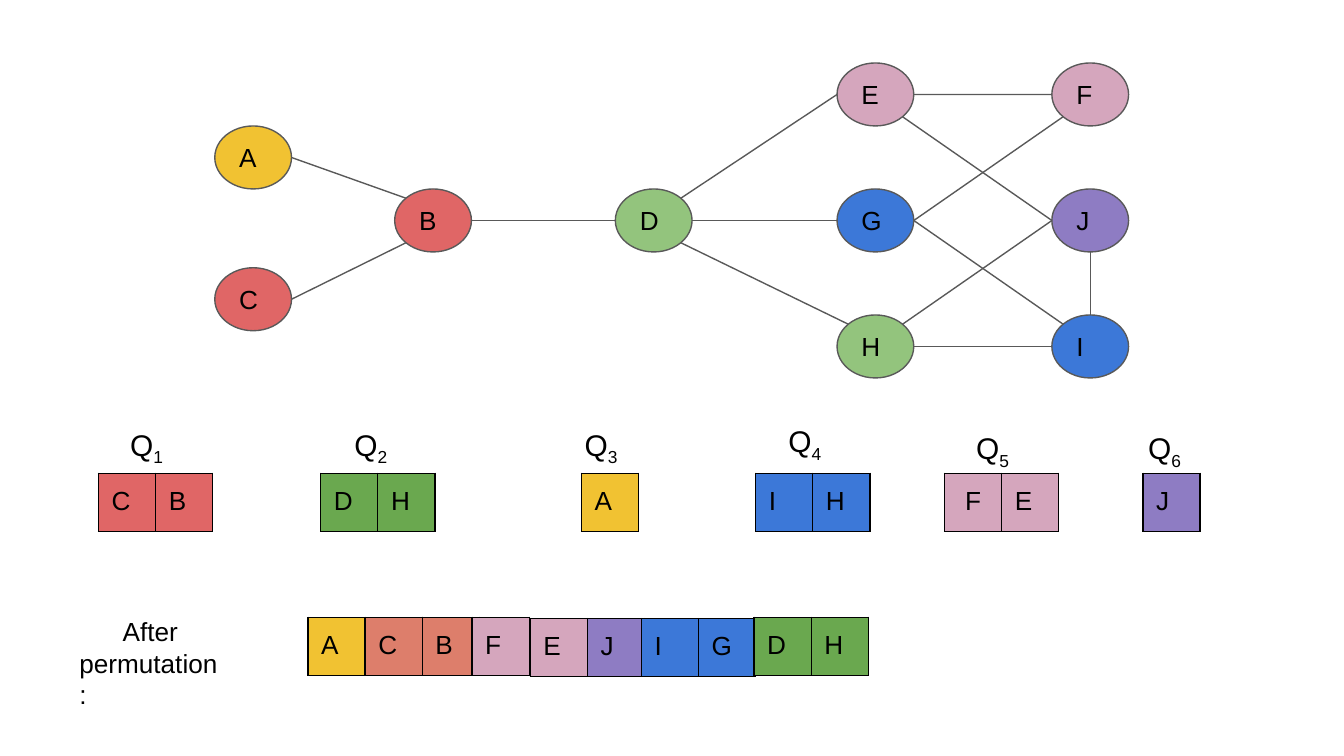
from math import cos, radians, sin

from lxml.etree import SubElement
from pptx import Presentation
from pptx.dml.color import RGBColor
from pptx.enum.shapes import MSO_CONNECTOR, MSO_SHAPE
from pptx.enum.text import MSO_ANCHOR, PP_ALIGN
from pptx.oxml import parse_xml
from pptx.oxml.ns import nsdecls, qn
from pptx.util import Cm, Pt

BLACK = RGBColor(0x00, 0x00, 0x00)
GRAY = RGBColor(0x59, 0x59, 0x59)
RED = RGBColor(0xE0, 0x66, 0x66)
CORAL = RGBColor(0xDD, 0x7E, 0x6B)
YELLOW = RGBColor(0xF1, 0xC2, 0x32)
LIGHT_GREEN = RGBColor(0x93, 0xC4, 0x7D)
GREEN = RGBColor(0x6A, 0xA8, 0x4F)
BLUE = RGBColor(0x3C, 0x78, 0xD8)
PURPLE = RGBColor(0x8E, 0x7C, 0xC3)
PINK = RGBColor(0xD5, 0xA6, 0xBD)

# Graph nodes: left edge in cm, top edge in node heights, colour
NODE_W, NODE_H = 1.45, 1.19
NODES = {
    "A": (4.06, 2, YELLOW),
    "C": (4.06, 4.25, RED),
    "B": (7.46, 3, RED),
    "D": (11.63, 3, LIGHT_GREEN),
    "E": (15.82, 1, PINK),
    "G": (15.82, 3, BLUE),
    "H": (15.82, 5, LIGHT_GREEN),
    "F": (19.88, 1, PINK),
    "J": (19.88, 3, PURPLE),
    "I": (19.88, 5, BLUE),
}

# Ellipse connection sites, counter-clockwise from the top
TOP, TOP_LEFT, LEFT, BOTTOM_LEFT, BOTTOM, BOTTOM_RIGHT, RIGHT, TOP_RIGHT = range(8)
EDGES = [
    ("A", RIGHT, "B", TOP_LEFT),
    ("C", RIGHT, "B", BOTTOM_LEFT),
    ("B", RIGHT, "D", LEFT),
    ("D", TOP_RIGHT, "E", LEFT),
    ("D", RIGHT, "G", LEFT),
    ("D", BOTTOM_RIGHT, "H", TOP_LEFT),
    ("E", RIGHT, "F", LEFT),
    ("H", RIGHT, "I", LEFT),
    ("G", RIGHT, "F", BOTTOM_LEFT),
    ("G", RIGHT, "I", TOP_LEFT),
    ("J", BOTTOM, "I", TOP),
    ("H", TOP_RIGHT, "J", LEFT),
    ("J", LEFT, "E", BOTTOM_RIGHT),
]

# Queues: label left and top, cells left, cells
CELL_W, CELL_H, INSET = 1.08, 1.07, 0.25
QUEUE_TOP = 8.94
QUEUES = [
    (2.21, 7.81, 1.86, [("C", RED), ("B", RED)]),
    (6.45, 7.81, 6.06, [("D", GREEN), ("H", GREEN)]),
    (10.8, 7.81, 10.99, [("A", YELLOW)]),
    (14.65, 7.74, 14.28, [("I", BLUE), ("H", BLUE)]),
    (18.2, 7.87, 17.85, [("F", PINK), ("E", PINK)]),
    (21.45, 7.87, 21.6, [("J", PURPLE)]),
]
INDENTED_QUEUE = 5

# Permuted order: left, top, cells
PERMUTED = [
    (5.82, 11.66, [("A", YELLOW), ("C", CORAL)]),
    (7.98, 11.66, [("B", CORAL)]),
    (8.92, 11.66, [("F", PINK)]),
    (10.02, 11.68, [("E", PINK), ("J", PURPLE)]),
    (12.12, 11.68, [("I", BLUE), ("G", BLUE)]),
    (14.25, 11.66, [("D", GREEN), ("H", GREEN)]),
]

prs = Presentation()
prs.slide_width, prs.slide_height = Cm(25.4), Cm(14.28)
shapes = prs.slides.add_slide(prs.slide_layouts[6]).shapes


def style(paragraph, size=14):
    paragraph.alignment = PP_ALIGN.LEFT
    paragraph.font.name = "Arial"
    paragraph.font.size = Pt(size)
    paragraph.font.color.rgb = BLACK


def set_insets(holder):
    holder.margin_left = holder.margin_right = Cm(INSET)
    holder.margin_top = holder.margin_bottom = Cm(INSET)


def add_text(left, top, width, height, size):
    frame = shapes.add_textbox(Cm(left), Cm(top), Cm(width), Cm(height)).text_frame
    frame.word_wrap = True
    set_insets(frame)
    style(frame.paragraphs[0], size)
    return frame.paragraphs[0]


def add_cells(left, top, cells):
    table = shapes.add_table(1, len(cells), Cm(left), Cm(top),
                             Cm(CELL_W * len(cells)), Cm(CELL_H)).table
    table.first_row = table.horz_banding = False
    for cell, (letter, colour) in zip(table.rows[0].cells, cells):
        cell.text = letter
        set_insets(cell)
        style(cell.text_frame.paragraphs[0])
        cell.fill.solid()
        cell.fill.fore_color.rgb = colour
        # Borders stand before the fill in the cell properties
        for position, side in enumerate("LRTB"):
            cell._tc.get_or_add_tcPr().insert(position, parse_xml(
                f'<a:ln{side} {nsdecls("a")} w="{Pt(0.75)}"><a:solidFill>'
                f'<a:srgbClr val="{BLACK}"/></a:solidFill></a:ln{side}>'))
    return table


def site_point(node, site):
    left, row, _ = NODES[node]
    angle = radians(45 * site)
    return (Cm(left + NODE_W / 2 * (1 - sin(angle))),
            Cm(row * NODE_H + NODE_H / 2 * (1 - cos(angle))))


# Graph nodes
ellipses = {}
for letter, (left, row, colour) in NODES.items():
    node = shapes.add_shape(MSO_SHAPE.OVAL, Cm(left), Cm(row * NODE_H),
                            Cm(NODE_W), Cm(NODE_H))
    node.shadow.inherit = False
    node.fill.solid()
    node.fill.fore_color.rgb = colour
    node.line.color.rgb = GRAY
    node.line.width = Pt(0.75)
    node.text_frame.text = letter
    node.text_frame.vertical_anchor = MSO_ANCHOR.MIDDLE
    set_insets(node.text_frame)
    style(node.text_frame.paragraphs[0])
    ellipses[letter] = node

# Graph edges, glued to the eight sites of an ellipse
for start, start_site, end, end_site in EDGES:
    edge = shapes.add_connector(MSO_CONNECTOR.STRAIGHT,
                                *site_point(start, start_site),
                                *site_point(end, end_site))
    edge.line.color.rgb = GRAY
    edge.line.width = Pt(0.75)
    SubElement(edge._element.spPr, qn("a:effectLst"))
    joints = edge._element.nvCxnSpPr.cNvCxnSpPr
    for tag, node, site in (("a:stCxn", start, start_site), ("a:endCxn", end, end_site)):
        SubElement(joints, qn(tag), id=str(ellipses[node].shape_id), idx=str(site))

# Queues with numbered labels
for number, (label_left, label_top, left, cells) in enumerate(QUEUES, 1):
    label = add_text(label_left, label_top, NODE_W, CELL_H, 16)
    label.add_run().text = "Q"
    subscript = label.add_run()
    subscript.text = str(number)
    subscript._r.get_or_add_rPr().set("baseline", "-25000")
    queue = add_cells(left, QUEUE_TOP, cells)
    if number == INDENTED_QUEUE:
        queue.cell(0, 0).margin_left = Cm(INSET + 0.14)

# Permuted order
caption = add_text(1.25, 11.38, 3.38, 0.94, 14)
caption.add_run().text = "After permutation :"
caption._p.get_or_add_pPr().set("indent", str(Cm(0.82)))
for left, top, cells in PERMUTED:
    add_cells(left, top, cells)

prs.save("out.pptx")
